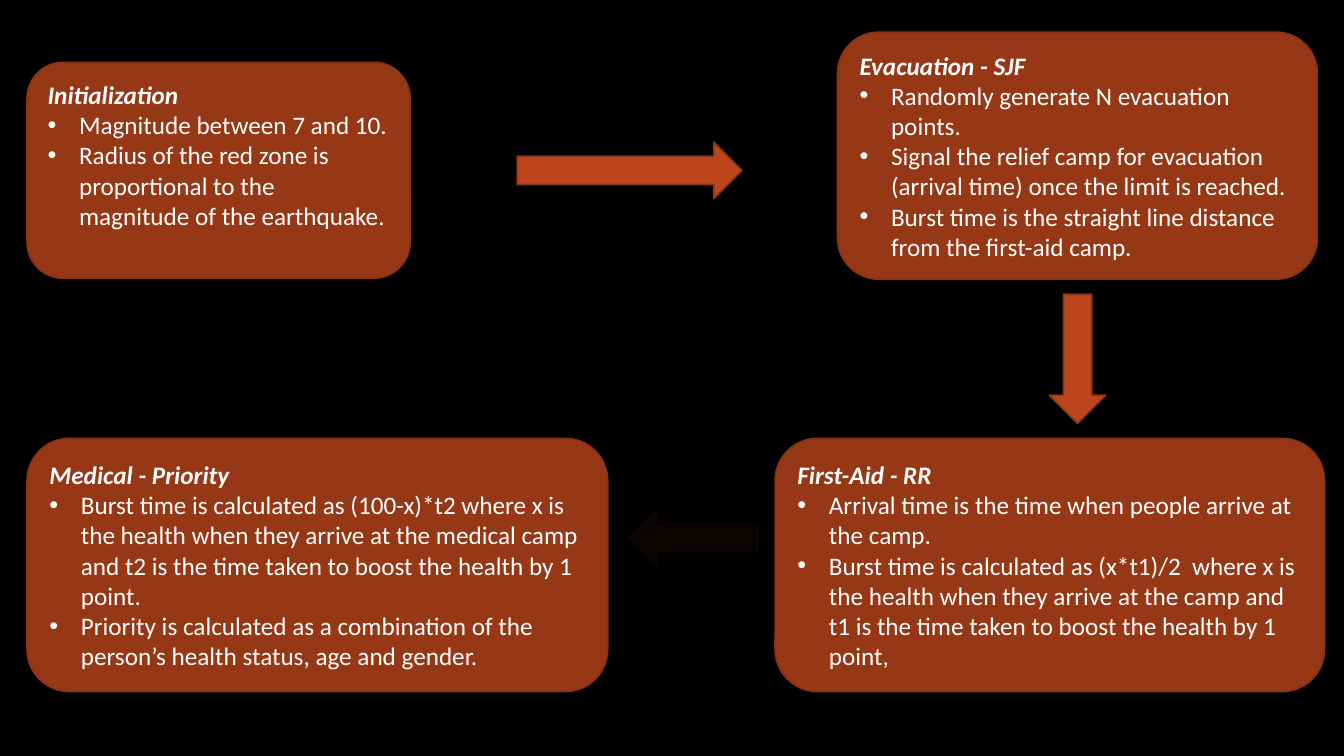
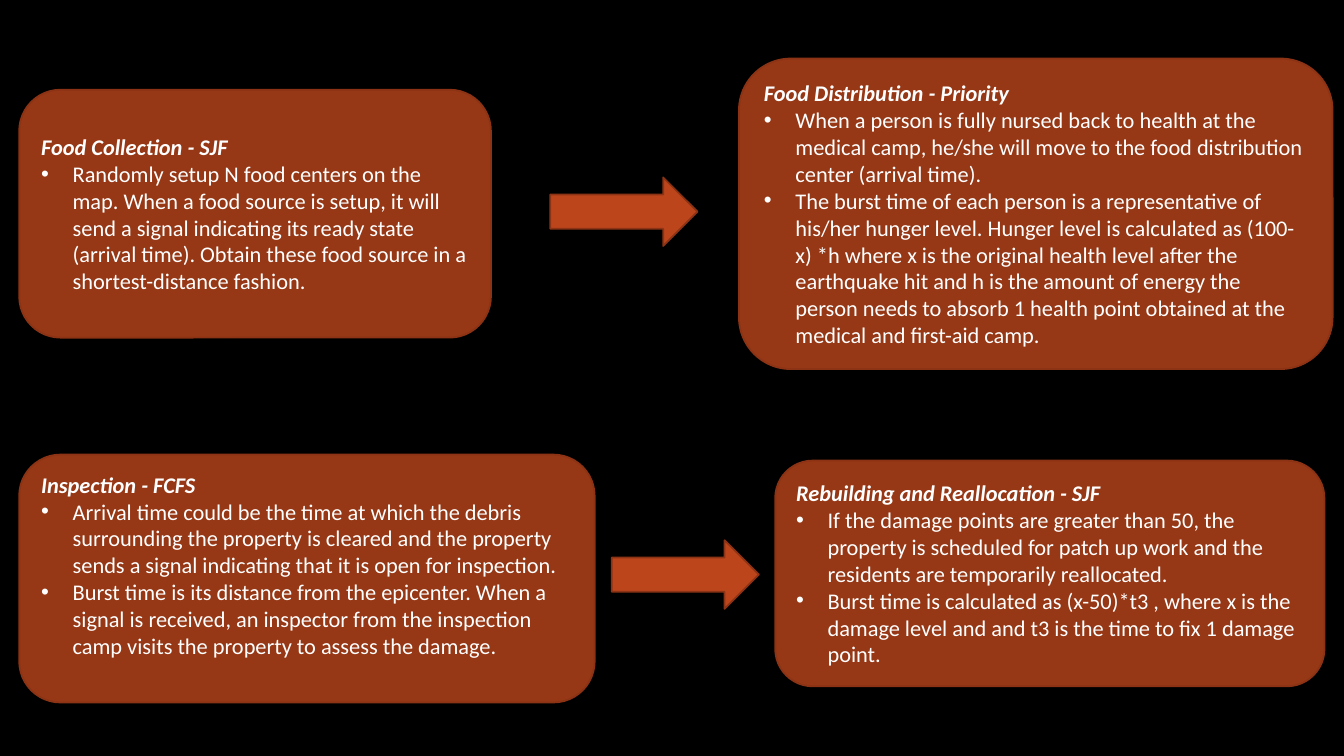
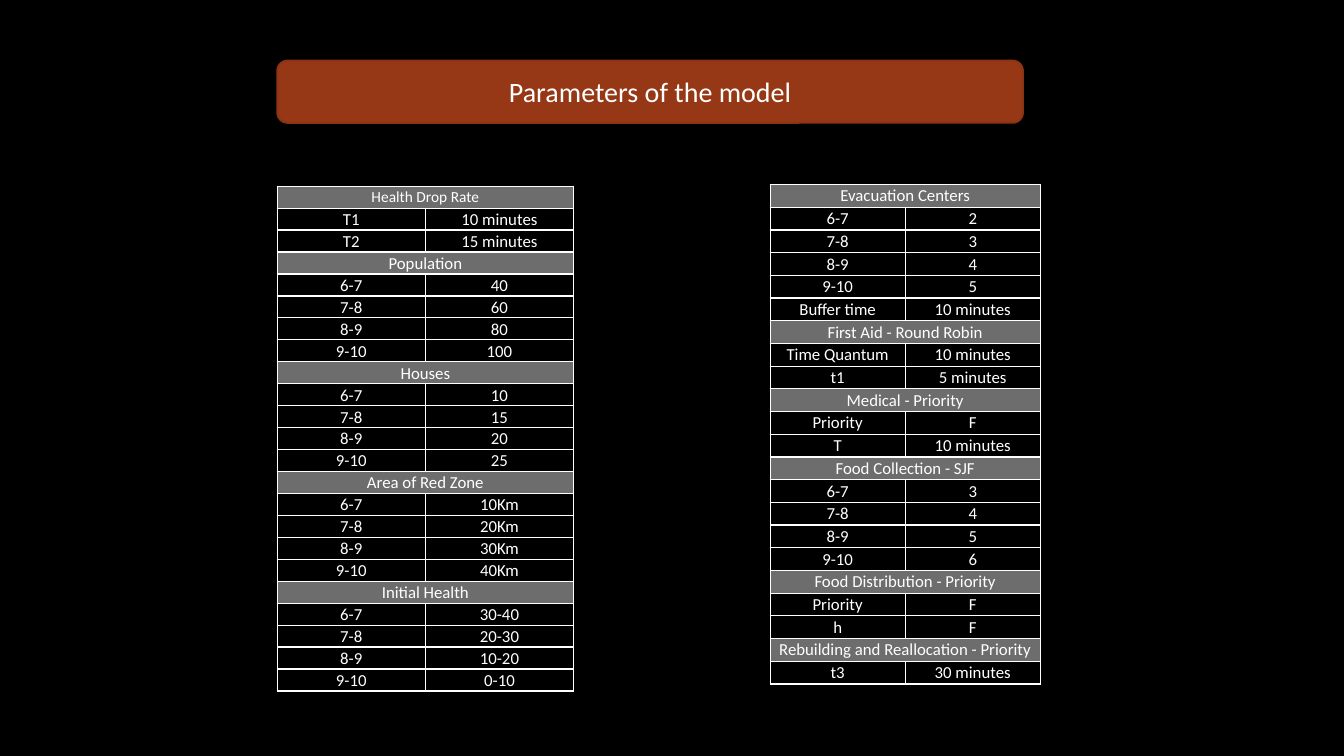
from pptx import Presentation
from pptx.dml.color import RGBColor
from pptx.enum.shapes import MSO_SHAPE
from pptx.enum.text import MSO_ANCHOR, PP_ALIGN
from pptx.oxml import parse_xml
from pptx.oxml.ns import nsdecls, qn
from pptx.util import Pt

MAGNITUDES = ["6-7", "7-8", "8-9", "9-10"]


def colour(value):
    return RGBColor.from_string(value)


def by_magnitude(*values):
    return list(zip(MAGNITUDES, values))


class Deck:
    """Holds the shared style and the current slide."""

    BACK, RUST, EDGE, WHITE, GREY = "000000", "BC451B", "8B3314", "FFFFFF", "6D6D6D"
    FONT = "Calibri"
    LINE_HEIGHT = 1.22
    INDENT = 22.5

    def __init__(self):
        self.deck = Presentation()
        self.deck.slide_width, self.deck.slide_height = Pt(960), Pt(540)
        self.page = None

    def add_page(self):
        self.page = self.deck.slides.add_slide(self.deck.slide_layouts[6])
        fill = self.page.background.fill
        fill.solid()
        fill.fore_color.rgb = colour(self.BACK)

    def fade(self, shape, percent):
        for tone in shape.element.spPr.iter(qn("a:srgbClr")):
            alpha = f'<a:alpha {nsdecls("a")} val="{percent * 1000}"/>'
            tone.append(parse_xml(alpha))

    def shape(self, kind, place, opacity=100):
        shape = self.page.shapes.add_shape(kind, *map(Pt, place))
        shape.shadow.inherit = False
        shape.fill.solid()
        shape.fill.fore_color.rgb = colour(self.RUST)
        if opacity < 100:
            self.fade(shape, opacity)
        shape.line.color.rgb = colour(self.EDGE)
        shape.line.width = Pt(1.25)
        return shape

    def set_text(self, para, text, size, align=PP_ALIGN.LEFT):
        para.text = text
        para.alignment = align
        para.font.name = self.FONT
        para.font.size = Pt(size)
        para.font.color.rgb = colour(self.WHITE)

    def panel(self, place):
        box = self.shape(MSO_SHAPE.ROUNDED_RECTANGLE, place, opacity=80)
        frame = box.text_frame
        frame.word_wrap = True
        frame.vertical_anchor = MSO_ANCHOR.MIDDLE
        return frame

    def title(self, text, place):
        self.set_text(self.panel(place).paragraphs[0], text, 20, PP_ALIGN.CENTER)

    def card(self, place, heading, points, size, spare_lines=0):
        frame = self.panel(place)
        frame.margin_bottom = Pt(round(3.6 + spare_lines * size * self.LINE_HEIGHT, 2))
        first = frame.paragraphs[0]
        self.set_text(first, heading, size)
        first.font.bold = first.font.italic = True
        for point in points:
            para = frame.add_paragraph()
            self.set_text(para, point, size)
            properties = para._p.get_or_add_pPr()
            properties.set("marL", str(Pt(self.INDENT)))
            properties.set("indent", str(-Pt(self.INDENT)))
            for tag, value in (("buFont", 'typeface="Arial"'), ("buChar", 'char="•"')):
                item = parse_xml(f'<a:{tag} {nsdecls("a")} {value}/>')
                properties.insert_element_before(item, "a:tabLst", "a:defRPr", "a:extLst")

    def arrow(self, place, rotation=0, opacity=100):
        arrow = self.shape(MSO_SHAPE.RIGHT_ARROW, place)
        arrow.rotation = rotation
        if opacity < 100:
            self.fade(arrow, opacity)

    def cell(self, cell, text, size, fill=None):
        cell.margin_left = cell.margin_right = Pt(4.7)
        cell.margin_top = cell.margin_bottom = 0
        para = cell.text_frame.paragraphs[0]
        self.set_text(para, text, size, PP_ALIGN.CENTER)
        para.line_spacing = 1.07
        properties = cell._tc.get_or_add_tcPr()
        for side in "LRTB":
            properties.append(parse_xml(
                f'<a:ln{side} {nsdecls("a")} w="{Pt(1)}"><a:solidFill>'
                f'<a:srgbClr val="{self.WHITE}"/></a:solidFill></a:ln{side}>'))
        if fill:
            cell.fill.solid()
            cell.fill.fore_color.rgb = colour(fill)
        else:
            cell.fill.background()

    def table(self, left, top, column, row, groups, first_size=12):
        lines = []
        for heading, pairs in groups:
            lines += [(heading,), *pairs]
        size = (column * 2, row * len(lines))
        frame = self.page.shapes.add_table(len(lines), 2, *map(Pt, (left, top, *size)))
        table = frame.table
        table.first_row = table.horz_banding = False
        for number, line in enumerate(lines):
            table.rows[number].height = Pt(row)
            is_heading = len(line) == 1
            texts = (line[0], "") if is_heading else line
            for index, text in enumerate(texts):
                self.cell(table.cell(number, index), text,
                          12 if number else first_size,
                          self.GREY if is_heading else None)
            if is_heading:
                table.cell(number, 0).merge(table.cell(number, 1))

    def save(self):
        self.deck.save("out.pptx")


def rescue_page(deck):
    deck.add_page()
    deck.card((19.4, 44.6, 273.6, 154.1), "Initialization", [
        "Magnitude between 7 and 10.",
        "Radius of the red zone is proportional to the magnitude of the earthquake.",
    ], 18, spare_lines=1)
    deck.card((598.3, 23, 342.7, 176.4), "Evacuation - SJF", [
        "Randomly generate N evacuation points.",
        "Signal the relief camp for evacuation (arrival time) once the limit is reached.",
        "Burst time is the straight line distance from the first-aid camp.",
    ], 18)
    deck.card((553.7, 313.2, 392.4, 180.7), "First-Aid - RR", [
        "Arrival time is the time when people arrive at the camp.",
        "Burst time is calculated as (x*t1)/2  where x is the health when they arrive "
        "at the camp and t1 is the time taken to boost the health by 1 point,",
    ], 18)
    deck.card((19.4, 313.2, 414.7, 180.7), "Medical - Priority", [
        "Burst time is calculated as (100-x)*t2 where x is the health when they arrive "
        "at the medical camp and t2 is the time taken to boost the health by 1 point.",
        "Priority is calculated as a combination of the person’s health status, "
        "age and gender.",
    ], 18)
    deck.arrow((369.4, 101.5, 160.6, 40.3))
    deck.arrow((449.3, 364.3, 92.2, 40.3), rotation=180, opacity=5)
    deck.arrow((723.6, 236.2, 92.2, 40.3), rotation=90)


def recovery_page(deck):
    deck.add_page()
    deck.card((13.7, 324.7, 411.1, 177.1), "Inspection - FCFS", [
        "Arrival time could be the time at which the debris surrounding the property is "
        "cleared and the property sends a signal indicating that it is open for inspection.",
        "Burst time is its distance from the epicenter. When a signal is received, an "
        "inspector from the inspection camp visits the property to assess the damage.",
    ], 16, spare_lines=1)
    deck.card((553.7, 329, 392.4, 161.3), "Rebuilding and Reallocation - SJF", [
        "If the damage points are greater than 50, the property is scheduled for patch up "
        "work and the residents are temporarily reallocated.",
        "Burst time is calculated as (x-50)*t3 , where x is the damage level and and t3 is "
        "the time to fix 1 damage point.",
    ], 16)
    deck.card((13.7, 64.1, 337, 177.1), "Food Collection - SJF", [
        "Randomly setup N food centers on the map. When a food source is setup, it will "
        "send a signal indicating its ready state (arrival time). Obtain these food source "
        "in a shortest-distance fashion.",
    ], 16)
    deck.card((527.8, 41.8, 424.1, 221.8), "Food Distribution - Priority", [
        "When a person is fully nursed back to health at the medical camp, he/she will "
        "move to the food distribution center (arrival time).",
        "The burst time of each person is a representative of his/her hunger level. Hunger "
        "level is calculated as (100-x) *h where x is the original health level after the "
        "earthquake hit and h is the amount of energy the person needs to absorb 1 health "
        "point obtained at the medical and first-aid camp.",
    ], 16)
    deck.arrow((393.1, 126.7, 105.1, 49))
    deck.arrow((437, 385.9, 105.1, 49))


def parameters_page(deck):
    deck.add_page()
    deck.title("Parameters of the model", (198, 43.2, 532.8, 44.6))
    deck.table(198, 133.2, 105.85, 15.48, [
        ("Health Drop Rate", [("T1", "10 minutes"), ("T2", "15 minutes")]),
        ("Population", by_magnitude("40", "60", "80", "100")),
        ("Houses", by_magnitude("10", "15", "20", "25")),
        ("Area of Red Zone", by_magnitude("10Km", "20Km", "30Km", "40Km")),
        ("Initial Health", by_magnitude("30-40", "20-30", "10-20", "0-10")),
    ], first_size=11)
    deck.table(550.1, 131.8, 96.5, 16.23, [
        ("Evacuation Centers",
         by_magnitude("2", "3", "4", "5") + [("Buffer time", "10 minutes")]),
        ("First Aid - Round Robin", [("Time Quantum", "10 minutes"), ("t1", "5 minutes")]),
        ("Medical - Priority", [("Priority", "F"), ("T", "10 minutes")]),
        ("Food Collection - SJF", by_magnitude("3", "4", "5", "6")),
        ("Food Distribution - Priority", [("Priority", "F"), ("h", "F")]),
        ("Rebuilding and Reallocation - Priority", [("t3", "30 minutes")]),
    ])


def main():
    deck = Deck()
    rescue_page(deck)
    recovery_page(deck)
    parameters_page(deck)
    deck.save()


if __name__ == "__main__":
    main()
